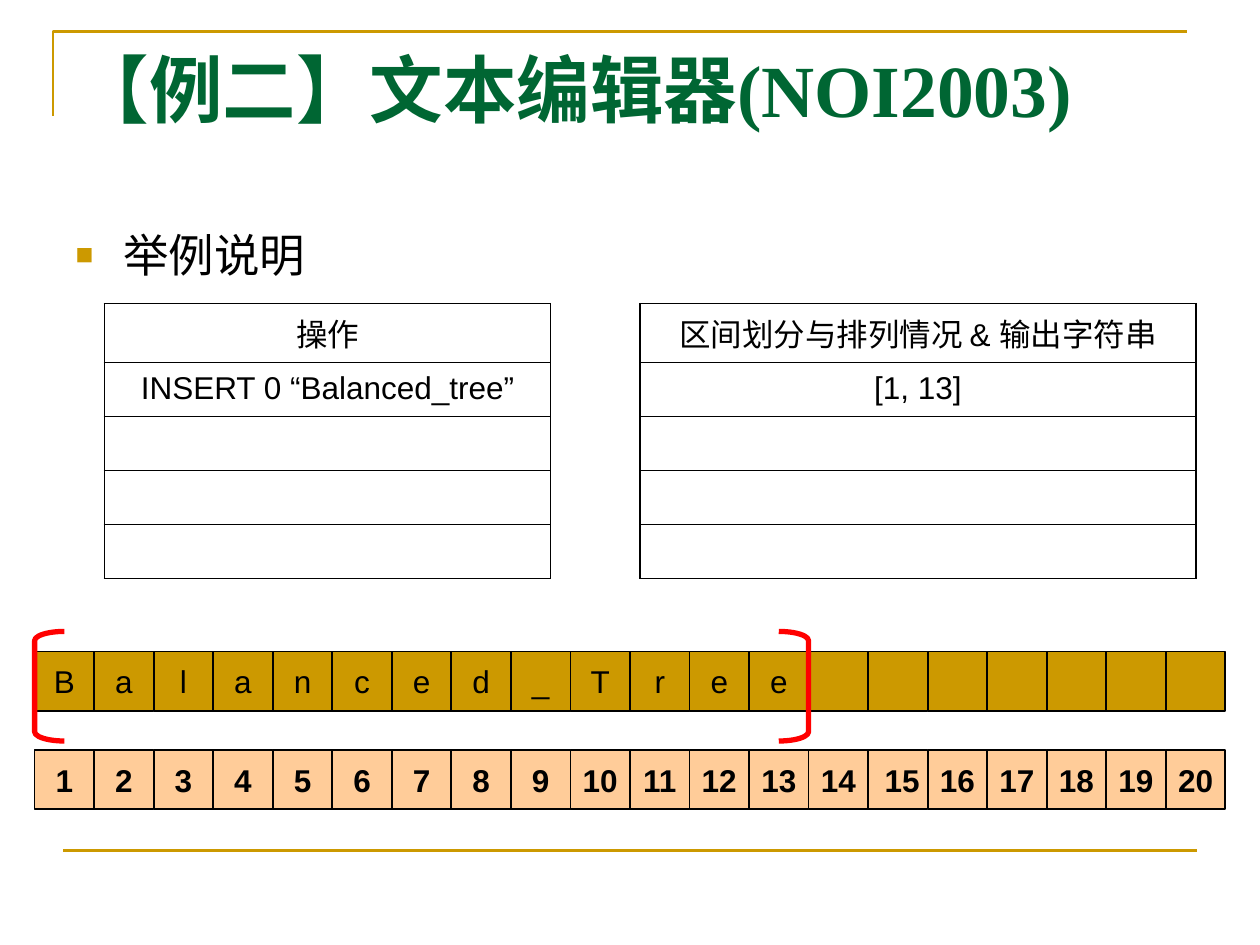
from dataclasses import dataclass

from lxml import etree
from pptx import Presentation
from pptx.dml.color import RGBColor
from pptx.enum.shapes import MSO_CONNECTOR, MSO_SHAPE
from pptx.enum.text import MSO_ANCHOR, MSO_AUTO_SIZE, PP_ALIGN
from pptx.oxml.ns import qn
from pptx.util import Inches, Pt

RECT, STRAIGHT = MSO_SHAPE.RECTANGLE, MSO_CONNECTOR.STRAIGHT
LEFT_BRACKET, RIGHT_BRACKET = MSO_SHAPE.LEFT_BRACKET, MSO_SHAPE.RIGHT_BRACKET
TOP, MIDDLE = MSO_ANCHOR.TOP, MSO_ANCHOR.MIDDLE
LEFT, CENTER = PP_ALIGN.LEFT, PP_ALIGN.CENTER


@dataclass(frozen=True)
class Theme:
    gold: str = "CC9900"
    peach: str = "FFCC99"
    green: str = "006633"
    black: str = "000000"
    red: str = "FF0000"
    heading_font: str = "Times New Roman"
    body_font: str = "Arial"
    title_size: int = 42
    body_size: int = 26
    cell_size: int = 18


THEME = Theme()

# Content
TITLE = "【例二】文本编辑器(NOI2003)"
BULLET = "举例说明"
TABLES = [  # left, width, rows
    (0.83, 3.54, ["操作", "INSERT 0 “Balanced_tree”", "", "", ""]),
    (5.08, 4.41, ["区间划分与排列情况 & 输出字符串", "[1, 13]", "", "", ""]),
]
BUFFER = "Balanced_Tree"
SLOTS = 20
POSITIONS = [" 15" if n == 15 else str(n) for n in range(1, SLOTS + 1)]

# Layout
WIDTH, HEIGHT = 10, 7.5
TABLE_TOP, ROW_HEIGHT = 2.41, 0.43
STRIP_WIDTH = 0.945 * WIDTH
STRIP_LEFT = (WIDTH - STRIP_WIDTH) / 2
SLOT = STRIP_WIDTH / SLOTS
BUFFER_TOP, POSITIONS_TOP = 5.17, 5.95
BRACKET_WIDTH, BRACKET_HEIGHT = SLOT / 2, 0.87


def box(*lengths):
    return [Inches(length) for length in lengths]


def rgb(value):
    return RGBColor.from_string(value)


def style_line(shape, color, width):
    shape.line.color.rgb = rgb(color)
    shape.line.width = Pt(width)


def add_text(paragraph, text, size, color=THEME.black, font=THEME.body_font,
             bold=False, align=CENTER):
    paragraph.alignment = align
    run = paragraph.add_run()
    run.text = text
    run.font.size, run.font.name, run.font.bold = Pt(size), font, bold
    run.font.color.rgb = rgb(color)


def place(placeholder, *lengths):
    placeholder.left, placeholder.top, placeholder.width, placeholder.height = box(*lengths)
    frame = placeholder.text_frame
    frame.auto_size, frame.vertical_anchor = MSO_AUTO_SIZE.NONE, TOP
    return frame.paragraphs[0]


def set_square_bullet(paragraph):
    properties = paragraph._p.get_or_add_pPr()
    properties.set("marL", str(Inches(0.38)))
    properties.set("indent", str(-Inches(0.38)))
    color = etree.SubElement(properties, qn("a:buClr"))
    etree.SubElement(color, qn("a:srgbClr"), val=THEME.gold)
    etree.SubElement(properties, qn("a:buSzPct"), val="65000")
    etree.SubElement(properties, qn("a:buFont"), typeface=THEME.body_font)
    etree.SubElement(properties, qn("a:buChar"), char="■")


def add_frame_lines(shapes):
    """Draw the corner at the top left and the rule above the footer."""
    left, top = 0.42, 0.25
    builder = shapes.build_freeform(*box(left, top + 0.67), scale=1.0)
    builder.add_line_segments([box(left, top), box(left + 9, top)], close=False)
    corner = builder.convert_to_shape()
    corner.fill.background()
    corner.shadow.inherit = False
    style_line(corner, THEME.gold, 1.5)

    rule = shapes.add_connector(STRAIGHT, *box(0.5, 6.75, 9.5, 6.75))
    style_line(rule, THEME.gold, 1.5)
    etree.SubElement(rule._element.spPr, qn("a:effectLst"))


def set_borders(cell, widths):
    properties = cell._tc.get_or_add_tcPr()
    for index, (side, width) in enumerate(widths.items()):
        border = etree.Element(qn(f"a:{side}"), w=str(Pt(width)))
        fill = etree.SubElement(border, qn("a:solidFill"))
        etree.SubElement(fill, qn("a:srgbClr"), val=THEME.black)
        properties.insert(index, border)


def add_column_table(shapes, left, width, rows):
    frame = shapes.add_table(len(rows), 1,
                             *box(left, TABLE_TOP, width, ROW_HEIGHT * len(rows)))
    table = frame.table
    table.first_row = table.horz_banding = False
    outer, inner = 1.08, 0.45
    last = len(rows) - 1
    for index, text in enumerate(rows):
        cell = table.cell(index, 0)
        cell.fill.background()
        cell.vertical_anchor = MIDDLE
        if text:
            add_text(cell.text_frame.paragraphs[0], text, THEME.cell_size)
        set_borders(cell, {"lnL": outer, "lnR": outer,
                           "lnT": outer if index == 0 else inner,
                           "lnB": outer if index == last else inner})


def add_strip(shapes, labels, top, fill, bold=False):
    """Draw one row of slots, with a label in each slot that has one."""
    for index, label in enumerate(labels):
        slot = shapes.add_shape(RECT, *box(STRIP_LEFT + index * SLOT, top, SLOT, SLOT))
        slot.shadow.inherit = False
        slot.fill.solid()
        slot.fill.fore_color.rgb = rgb(fill)
        style_line(slot, THEME.black, 1)
        if label:
            frame = slot.text_frame
            frame.word_wrap, frame.vertical_anchor = False, MIDDLE
            add_text(frame.paragraphs[0], label, THEME.cell_size, bold=bold)


def add_brackets(shapes, first, last):
    """Enclose the slots from first up to last, counted from 1."""
    top = BUFFER_TOP + (SLOT - BRACKET_HEIGHT) / 2 + 0.04
    start = STRIP_LEFT + (first - 1) * SLOT
    end = STRIP_LEFT + last * SLOT - BRACKET_WIDTH
    for kind, left in [(LEFT_BRACKET, start), (RIGHT_BRACKET, end)]:
        bracket = shapes.add_shape(kind, *box(left, top, BRACKET_WIDTH, BRACKET_HEIGHT))
        bracket.adjustments[0] = 0.31
        bracket.shadow.inherit = False
        bracket.fill.background()
        style_line(bracket, THEME.red, 3)


def main():
    deck = Presentation()
    deck.slide_width, deck.slide_height = box(WIDTH, HEIGHT)
    slide = deck.slides.add_slide(deck.slide_layouts[1])
    shapes = slide.shapes

    add_frame_lines(shapes)
    heading = place(shapes.title, 0.5, 0.3, 9, 1.25)
    add_text(heading, TITLE, THEME.title_size, THEME.green, THEME.heading_font, True, LEFT)
    point = place(slide.placeholders[1], 0.5, 1.75, 4.42, 4.95)
    point.space_before = Pt(6.5)
    add_text(point, BULLET, THEME.body_size, align=LEFT)
    set_square_bullet(point)

    add_strip(shapes, list(BUFFER) + [""] * (SLOTS - len(BUFFER)), BUFFER_TOP, THEME.gold)
    for left, width, rows in TABLES:
        add_column_table(shapes, left, width, rows)
    add_brackets(shapes, 1, len(BUFFER))
    add_strip(shapes.add_group_shape().shapes, POSITIONS, POSITIONS_TOP, THEME.peach, True)
    deck.save("out.pptx")


if __name__ == "__main__":
    main()
